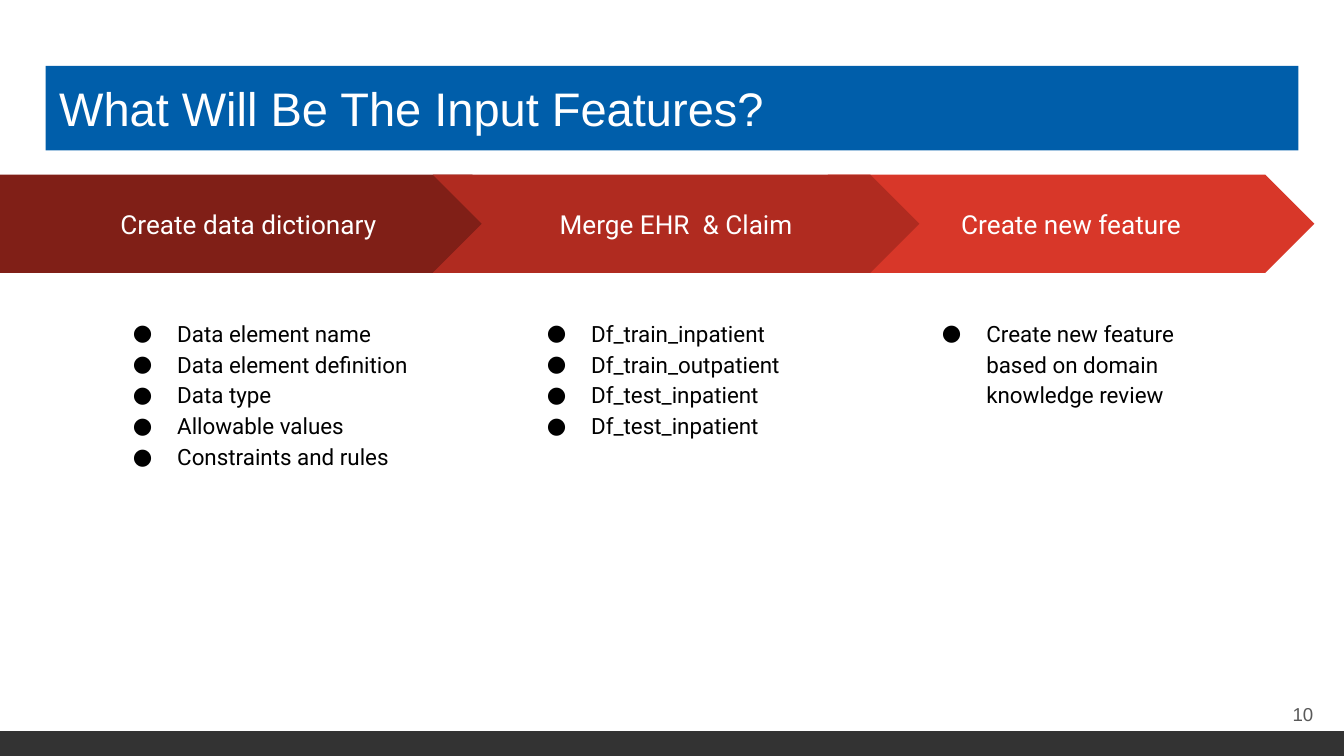
from dataclasses import dataclass

import pptx
import pptx.dml.color
import pptx.enum.shapes
import pptx.enum.text
import pptx.oxml
import pptx.oxml.ns
import pptx.util

Inches = pptx.util.Inches
Align = pptx.enum.text.PP_ALIGN
Anchor = pptx.enum.text.MSO_ANCHOR
Preset = pptx.enum.shapes.MSO_SHAPE


@dataclass
class Stage:
    heading: str
    points: list[str]
    preset: int
    fill: str
    left: float
    width: float
    points_left: float


DICTIONARY = Stage(
    "Create data dictionary",
    ["Data element name", "Data element definition", "Data type",
     "Allowable values", "Constraints and rules"],
    Preset.PENTAGON, "801F17", 0, 3.88, 0.72)
MERGE = Stage(
    "Merge EHR  & Claim",
    ["Df_train_inpatient", "Df_train_outpatient",
     "Df_test_inpatient", "Df_test_inpatient"],
    Preset.CHEVRON, "B02B20", 3.22, 3.62, 3.8)
FEATURE = Stage(
    "Create new feature",
    ["Create new feature based on domain knowledge review"],
    Preset.CHEVRON, "D83729", 6.16, 3.62, 6.74)


def rgb(value: str) -> pptx.dml.color.RGBColor:
    return pptx.dml.color.RGBColor.from_string(value)


def add_bullet(paragraph, font: str) -> None:
    properties = paragraph._p.get_or_add_pPr()
    properties.set("marL", str(Inches(0.5)))
    properties.set("indent", str(Inches(-0.33)))
    namespace = pptx.oxml.ns.nsdecls("a")
    for xml in (f'<a:buClr {namespace}><a:srgbClr val="000000"/></a:buClr>',
                f'<a:buFont {namespace} typeface="{font}"/>',
                f'<a:buChar {namespace} char="●"/>'):
        properties.append(pptx.oxml.parse_xml(xml))


def write(shape, lines: list[str], *, size: float, color: str,
          font: str = "Roboto", align=Align.LEFT, anchor=Anchor.MIDDLE,
          spacing: float = 1.0, bullets: bool = False) -> None:
    frame = shape.text_frame
    frame.word_wrap = True
    frame.auto_size = pptx.enum.text.MSO_AUTO_SIZE.NONE
    frame.vertical_anchor = anchor
    frame.margin_left = frame.margin_right = Inches(0.1)
    frame.margin_top = frame.margin_bottom = Inches(0.1)
    frame.text = "\n".join(lines)
    for paragraph in frame.paragraphs:
        paragraph.alignment = align
        paragraph.line_spacing = spacing
        paragraph.space_before = pptx.util.Pt(0)
        if bullets:
            add_bullet(paragraph, font)
        for run in paragraph.runs:
            run.font.name = font
            run.font.size = pptx.util.Pt(size)
            run.font.color.rgb = rgb(color)


def add_block(slide, preset, left: float, top: float, width: float,
              height: float, fill: str):
    block = slide.shapes.add_shape(
        preset, Inches(left), Inches(top), Inches(width), Inches(height))
    block.shadow.inherit = False
    block.fill.solid()
    block.fill.fore_color.rgb = rgb(fill)
    block.line.fill.background()
    return block


def add_stage(slide, stage: Stage) -> None:
    arrow = add_block(slide, stage.preset, stage.left, 1.3, stage.width, 0.73,
                      stage.fill)
    arrow.adjustments[0] = 0.5
    write(arrow, [stage.heading], size=14, color="FFFFFF", align=Align.CENTER)
    points = slide.shapes.add_textbox(
        Inches(stage.points_left), Inches(2.25), Inches(2.45), Inches(2.86))
    write(points, stage.points, size=12, color="000000", anchor=Anchor.TOP,
          spacing=1.15, bullets=True)


def main() -> None:
    presentation = pptx.Presentation()
    # Widescreen, 16 to 9
    presentation.slide_width = Inches(10)
    presentation.slide_height = Inches(10 * 9 / 16)
    slide = presentation.slides.add_slide(presentation.slide_layouts[5])

    # Title band
    title = slide.shapes.title
    title.left, title.top = Inches(0.34), Inches(0.49)
    title.width, title.height = Inches(9.32), Inches(0.63)
    title.fill.solid()
    title.fill.fore_color.rgb = rgb("005EAA")
    write(title, ["What Will Be The Input Features?"], size=25.2,
          color="FFFFFF", font="Arial", anchor=Anchor.TOP)

    # Process stages, the middle one last so that it overlaps both neighbours
    for stage in (FEATURE, DICTIONARY, MERGE):
        add_stage(slide, stage)

    # Footer bar and page number
    add_block(slide, Preset.RECTANGLE, 0, 5.44, 10, 0.19, "333333")
    page_number = slide.shapes.add_textbox(
        Inches(9.27), Inches(5.1), Inches(0.6), Inches(0.43))
    write(page_number, ["10"], size=10, color="595959", font="Arial",
          align=Align.RIGHT)

    presentation.save("out.pptx")


if __name__ == "__main__":
    main()
